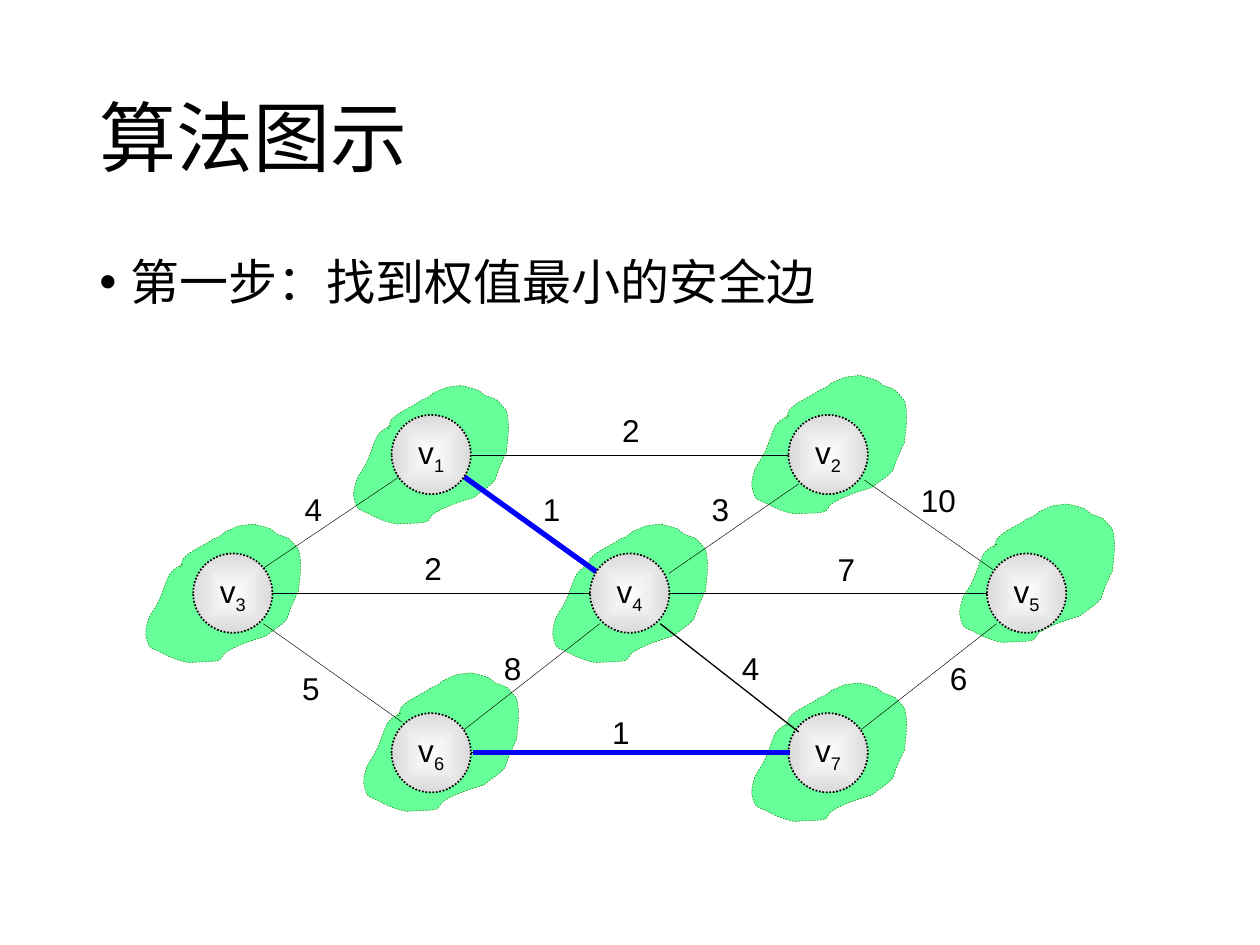
from lxml.etree import SubElement
from pptx import Presentation
from pptx.dml.color import RGBColor
from pptx.enum.dml import MSO_LINE
from pptx.enum.shapes import MSO_CONNECTOR, MSO_SHAPE
from pptx.enum.text import MSO_ANCHOR, MSO_AUTO_SIZE, PP_ALIGN
from pptx.oxml.ns import qn
from pptx.util import Inches, Pt

COLUMNS, ROWS = 100, 75
NODE_SIZE = 6.3
FIRST_COLUMN, COLUMN_STEP = 18.48, 15.75
NODE_ROWS = (36.08, 47.08, 59.75)

NODES = {
    "1": (1, 0), "2": (3, 0), "5": (4, 1), "3": (0, 1),
    "6": (1, 2), "7": (3, 2),
}
FRONT_NODE = ("4", 2, 1)
REGIONS = [
    (43.7, 41.6), (27.9, 30.6), (28.7, 53.4), (59.5, 29.8),
    (76, 40), (59.5, 54.2), (11.4, 41.6),
]
REGION_START = (3.1, 3.2)
REGION_CURVES = [
    (1.7, 3.9, 2.1, 4.1, 1.2, 6.1), (1, 6.6, 0.6, 7, 0.4, 7.5),
    (0.2, 8.3, 0, 8.6, 0.4, 9.6), (0.5, 9.9, 1.1, 10, 1.4, 10.2),
    (2.2, 10.6, 2.6, 10.8, 3.6, 11), (4.4, 10.9, 5.2, 11, 6, 10.8),
    (6.2, 10.7, 6.3, 10.3, 6.5, 10.2), (7.4, 9.6, 8.7, 9.2, 9.7, 8.9),
    (10.3, 8.4, 10.9, 8.1, 11.4, 7.5), (11.6, 6.7, 12.3, 5.3, 12.3, 5.3),
    (12.4, 4.1, 12.6, 3.2, 12.3, 2), (12.3, 2, 11.6, 1.2, 11.6, 1.2),
    (11.3, 1, 10.6, 0.8, 10.6, 0.8), (10.4, 0.7, 10.3, 0.5, 10.1, 0.4),
    (9.6, 0.2, 8.7, 0, 8.7, 0), (7.2, 0.2, 7.9, 0, 6.5, 0.6),
    (6.3, 0.7, 6.2, 0.9, 6, 1), (5.8, 1.1, 5.6, 1.1, 5.5, 1.2),
    (4.7, 1.8, 3.8, 2, 3.1, 2.8), (2.9, 3.5, 2.8, 3.6, 3.1, 3.2),
]
EDGES = [
    ((36.6, 37.7), (47.6, 45.5), 0.5), ((37.4, 36.1), (62.6, 36.1), 0.25),
    ((63.4, 38.4), (53.1, 45.5), 0.25), ((68.6, 38.1), (78.8, 45.2), 0.25),
    ((46.8, 47.1), (21.6, 47.1), 0.25), ((78.3, 47.1), (53.1, 47.1), 0.25),
    ((31.9, 37.7), (20.9, 45.1), 0.25), ((47.6, 49.5), (36.6, 58.1), 0.25),
    ((20.9, 49.5), (31.9, 57.3), 0.25), ((62.6, 59.7), (37.4, 59.7), 0.75),
    ((79.1, 49.5), (68.1, 58.1), 0.25),
]
FRONT_EDGE = ((52.4, 49.5), (63.4, 58.1), 0.75)
FIRST_SAFE_EDGE = ((36.5, 37.6), (47.5, 45.5), 3)
SECOND_SAFE_EDGE = ((62.7, 59.75), (37.5, 59.75), 3)
WEIGHTS = [
    ("4", 23.2, 38.4), ("2", 48.4, 32.1), ("1", 42.1, 38.4), ("2", 32.7, 43.1),
    ("5", 23, 52.6), ("1", 47.6, 56.1), ("8", 39, 51), ("4", 57.9, 51),
    ("7", 65.5, 43.2), ("3", 55.5, 38.4), ("10", 72.1, 37.7), ("6", 74.4, 51.8),
]


def color(value):
    """Turn a hex string into a colour."""
    return RGBColor.from_string(value)


def write(paragraph, text, font="Arial", size=18, ink="000000", baseline=0):
    """Add one formatted run to a paragraph."""
    run = paragraph.add_run()
    run.text = text
    run.font.name, run.font.size = font, Pt(size)
    run.font.color.rgb = color(ink)
    if baseline:
        run._r.get_or_add_rPr().set("baseline", str(baseline * 1000))


def bend(outline):
    """Turn each three line segments of an outline into one cubic curve."""
    segments = list(outline.iter(qn("a:lnTo")))
    for first, second, third in zip(segments[::3], segments[1::3], segments[2::3]):
        first.tag = qn("a:cubicBezTo")
        for segment in (second, third):
            first.append(segment[0])
            segment.getparent().remove(segment)


class GraphSlide:
    """Style and drawing methods for a weighted graph."""

    ink, safe = "000000", "0000FF"
    region_fill, region_line = "66FF99", "008000"
    node_shades = ("FFFFFF", "DADADA")
    heading_font = "Calibri"

    def __init__(self, deck):
        """Add a blank slide and measure its grid."""
        self.slide = deck.slides.add_slide(deck.slide_layouts[6])
        self.shapes = self.slide.shapes
        self.column = deck.slide_width / COLUMNS
        self.row = deck.slide_height / ROWS

    def place(self, x, y):
        """Turn columns and rows into a pair of lengths."""
        return round(x * self.column), round(y * self.row)

    def text_box(self, x, y, width, height):
        """Add an empty text box and return its frame."""
        box = self.shapes.add_textbox(*self.place(x, y), *self.place(width, height))
        return box.text_frame

    def heading(self, text, x, y, width, height, size, bullet=False):
        """Add the title or a bulleted statement."""
        frame = self.text_box(x, y, width, height)
        frame.word_wrap = True
        frame.vertical_anchor = MSO_ANCHOR.TOP if bullet else MSO_ANCHOR.MIDDLE
        paragraph = frame.paragraphs[0]
        paragraph.line_spacing = 0.9
        write(paragraph, text, font=self.heading_font, size=size, ink=self.ink)
        if bullet:
            paragraph.space_before = Pt(10)
            properties = paragraph._p.get_or_add_pPr()
            properties.set("marL", str(Inches(0.25)))
            properties.set("indent", str(-Inches(0.25)))
            SubElement(properties, qn("a:buFont")).set("typeface", "Arial")
            SubElement(properties, qn("a:buChar")).set("char", "•")

    def region(self, x, y):
        """Draw the cloud of one tree around a node."""
        points = [self.place(x + dx, y + dy) for curve in REGION_CURVES
                  for dx, dy in zip(curve[::2], curve[1::2])]
        start = self.place(x + REGION_START[0], y + REGION_START[1])
        builder = self.shapes.build_freeform(*start, scale=1.0)
        builder.add_line_segments(points, close=True)
        cloud = builder.convert_to_shape()
        bend(cloud._element)
        cloud.shadow.inherit = False
        cloud.fill.solid()
        cloud.fill.fore_color.rgb = color(self.region_fill)
        cloud.line.color.rgb = color(self.region_line)
        cloud.line.width = Pt(0.25)
        cloud.line.dash_style = MSO_LINE.DASH

    def edge(self, start, end, width, ink=None):
        """Draw a line between two nodes."""
        link = self.shapes.add_connector(
            MSO_CONNECTOR.STRAIGHT, *self.place(*start), *self.place(*end))
        link.line.color.rgb = color(ink or self.ink)
        link.line.width = Pt(width)
        SubElement(link._element.spPr, qn("a:effectLst"))

    def node(self, index, column, row):
        """Draw a shaded node with its subscript."""
        left = FIRST_COLUMN + column * COLUMN_STEP - NODE_SIZE / 2
        top = NODE_ROWS[row] - NODE_SIZE / 2
        circle = self.shapes.add_shape(
            MSO_SHAPE.OVAL, *self.place(left, top), *self.place(NODE_SIZE, NODE_SIZE))
        circle.shadow.inherit = False
        circle.fill.gradient()
        for stop, shade, position in zip(circle.fill.gradient_stops, self.node_shades, (0, 1)):
            stop.color.rgb = color(shade)
            stop.position = position
        gradient = circle._element.spPr.find(qn("a:gradFill"))
        gradient.remove(gradient.find(qn("a:lin")))
        spread = SubElement(gradient, qn("a:path"))
        spread.set("path", "shape")
        focus = SubElement(spread, qn("a:fillToRect"))
        for side in "ltrb":
            focus.set(side, "50000")
        circle.line.color.rgb = color(self.ink)
        circle.line.width = Pt(1)
        circle.line.dash_style = MSO_LINE.ROUND_DOT
        frame = circle.text_frame
        frame.word_wrap = False
        frame.vertical_anchor = MSO_ANCHOR.MIDDLE
        paragraph = frame.paragraphs[0]
        paragraph.alignment = PP_ALIGN.CENTER
        write(paragraph, "v", ink=self.ink)
        write(paragraph, index, ink=self.ink, baseline=-25)

    def weight(self, text, x, y):
        """Write the weight of an edge."""
        frame = self.text_box(x, y, 2 + 1.4 * len(text), 4)
        frame.word_wrap = False
        frame.auto_size = MSO_AUTO_SIZE.SHAPE_TO_FIT_TEXT
        write(frame.paragraphs[0], text, ink=self.ink)


def main():
    """Build the slide and save it."""
    deck = Presentation()
    deck.slide_width, deck.slide_height = Inches(10), Inches(7.5)
    graph = GraphSlide(deck)
    graph.heading("算法图示", 6.9, 4, 86.2, 14.5, 44)
    graph.heading("第一步：找到权值最小的安全边", 6.9, 20, 86.2, 47.6, 28, bullet=True)
    for corner in REGIONS:
        graph.region(*corner)
    for edge in EDGES:
        graph.edge(*edge)
    graph.edge(*FIRST_SAFE_EDGE, ink=graph.safe)
    for index, cell in NODES.items():
        graph.node(index, *cell)
    for weight in WEIGHTS:
        graph.weight(*weight)
    graph.edge(*FRONT_EDGE)
    graph.node(*FRONT_NODE)
    graph.edge(*SECOND_SAFE_EDGE, ink=graph.safe)
    deck.save("out.pptx")


if __name__ == "__main__":
    main()
